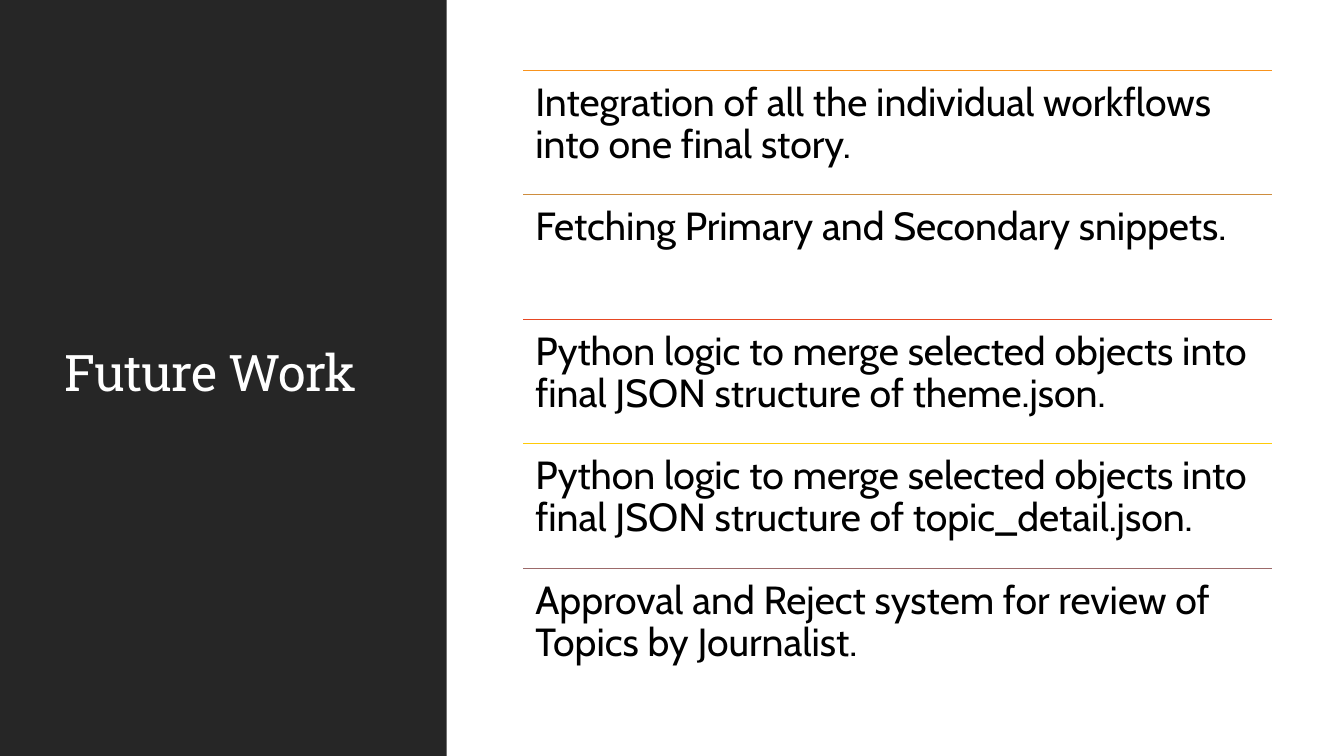
from pptx import Presentation, util as u
from pptx.dml.color import RGBColor
from pptx.enum import shapes, text
from pptx.oxml.ns import qn
from lxml import etree

PX = 9144
COLORS = {
    "panel": "262626", "title": "FFFFFF", "text": "000000",
    "orange": "F8931D", "bronze": "CE8D3E", "red": "E64823",
    "yellow": "FFCA08", "mauve": "9C6A6A",
}
TASKS = [
    ("orange", "Integration of all the individual workflows into one final story."),
    ("bronze", "Fetching Primary and Secondary snippets."),
    ("red", "Python logic to merge selected objects into final JSON structure of theme.json."),
    ("yellow", "Python logic to merge selected objects into final JSON structure of topic_detail.json."),
    ("mauve", "Approval and Reject system for review of Topics by Journalist."),
]
LIST_LEFT, LIST_TOP, LIST_WIDTH, LIST_HEIGHT = 519, 70, 743, 618


def px(*lengths):
    return [u.Emu(n * PX) for n in lengths]


def color(name):
    return RGBColor.from_string(COLORS[name])


def format_paragraph(p, font, size, color_name):
    p.alignment = text.PP_ALIGN.LEFT
    p.line_spacing = 0.9
    p.font.name = font
    p.font.size = u.Pt(size)
    p.font.color.rgb = color(color_name)


def add_panel(s, *box):
    sp = s.shapes.add_shape(shapes.MSO_SHAPE.RECTANGLE, *px(*box))
    sp.shadow.inherit = False
    sp.fill.solid()
    sp.fill.fore_color.rgb = color("panel")
    sp.line.fill.background()
    s.shapes.title._element.addprevious(sp._element)


def set_title(s, words, *box):
    sp = s.shapes.title
    sp.left, sp.top, sp.width, sp.height = px(*box)
    tf = sp.text_frame
    tf.text = words
    tf.vertical_anchor = text.MSO_ANCHOR.MIDDLE
    p = tf.paragraphs[0]
    format_paragraph(p, "Roboto Slab", 36, "title")
    p.runs[0]._r.get_or_add_rPr().set("spc", "-50")


def add_rule(s, left, top, width, color_name):
    line = s.shapes.add_connector(
        shapes.MSO_CONNECTOR.STRAIGHT, *px(left, top, left + width, top))
    line.line.color.rgb = color(color_name)
    line.line.width = u.Pt(1.25)
    etree.SubElement(line._element.spPr, qn("a:effectLst"))


def add_task(s, words, *box):
    tf = s.shapes.add_textbox(*px(*box)).text_frame
    tf.word_wrap = True
    tf.margin_left, tf.margin_top, tf.margin_right, tf.margin_bottom = px(12, 12, 12, 12)
    tf.text = words
    format_paragraph(tf.paragraphs[0], "Cabin", 28, "text")


def main():
    prs = Presentation()
    prs.slide_width, prs.slide_height = u.Inches(13.33), u.Inches(7.5)
    s = prs.slides.add_slide(prs.slide_layouts[5])
    add_panel(s, 0, 0, 443, 750)
    set_title(s, "Future Work", 54, 57, 337, 631)
    for i, (color_name, words) in enumerate(TASKS):
        top = LIST_TOP + i * LIST_HEIGHT // len(TASKS)
        add_rule(s, LIST_LEFT, top, LIST_WIDTH, color_name)
        add_task(s, words, LIST_LEFT, top, LIST_WIDTH, LIST_HEIGHT // len(TASKS))
    prs.save("out.pptx")


if __name__ == "__main__":
    main()
